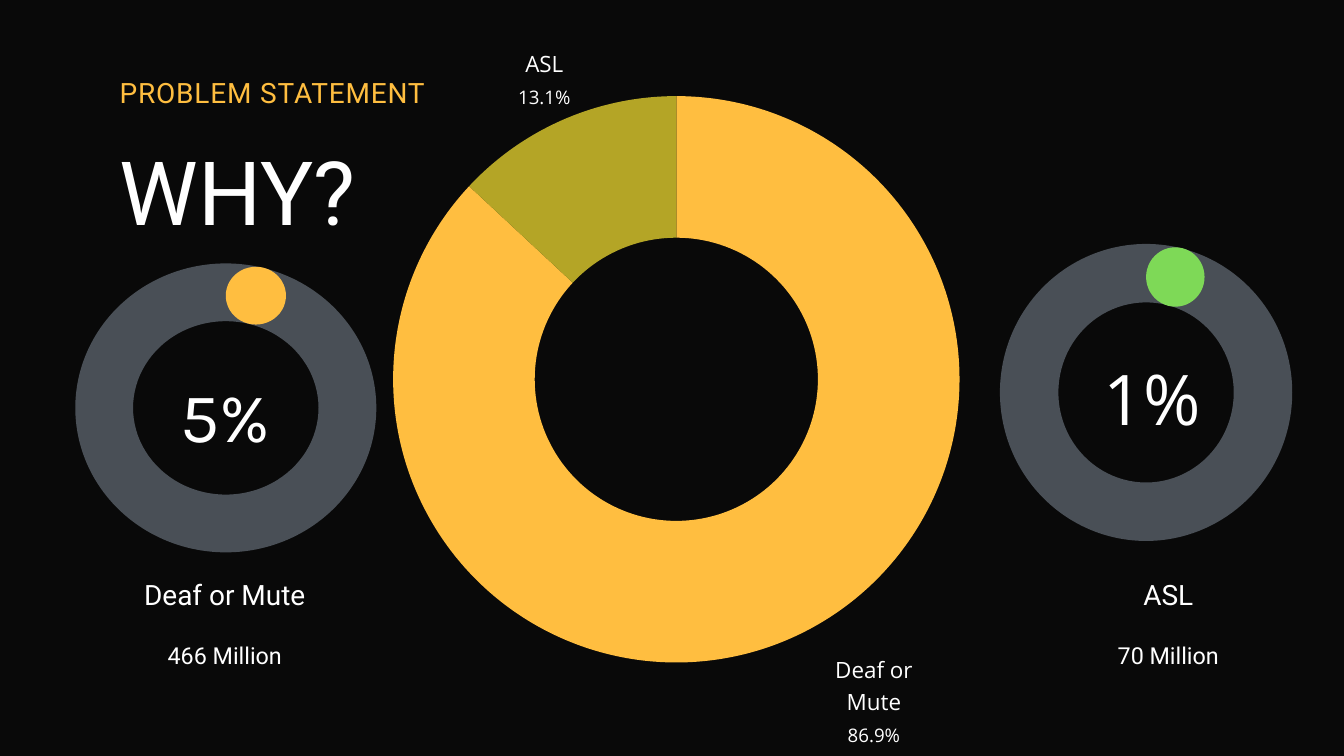
from lxml import etree
from pptx import Presentation
from pptx.chart.data import CategoryChartData
from pptx.dml.color import RGBColor
from pptx.enum.chart import XL_CHART_TYPE as ChartType
from pptx.enum.shapes import MSO_SHAPE as Shape
from pptx.enum.text import MSO_AUTO_SIZE as AutoSize, PP_ALIGN as Align
from pptx.oxml import parse_xml
from pptx.oxml.ns import nsdecls, qn
from pptx.util import Inches, Pt

BLACK = RGBColor(0x09, 0x09, 0x09)
WHITE = RGBColor(0xFF, 0xFF, 0xFF)
AMBER = RGBColor(0xFF, 0xBE, 0x40)
OLIVE = RGBColor(0xB4, 0xA5, 0x26)
GREEN = RGBColor(0x7E, 0xD9, 0x57)
SLATE = RGBColor(0x49, 0x4F, 0x56)

RING_THICKNESS = 0.2


class SlideBuilder:
    def __init__(self, slide, font="Roboto", color=WHITE):
        self.slide = slide
        self.font = font
        self.color = color

    def background(self, color):
        fill = self.slide.background.fill
        fill.solid()
        fill.fore_color.rgb = color

    def text(self, box, lines, spacing, font=None, color=None, align=Align.CENTER, tracking=0):
        """Add a text box; lines holds a (text, point size) pair per paragraph."""
        shape = self.slide.shapes.add_textbox(*map(Inches, box))
        frame = shape.text_frame
        frame.word_wrap = True
        frame.auto_size = AutoSize.SHAPE_TO_FIT_TEXT
        frame.margin_left = frame.margin_right = frame.margin_top = frame.margin_bottom = 0
        frame.text = "\n".join(content for content, _ in lines)
        for paragraph, (_, size) in zip(frame.paragraphs, lines):
            paragraph.alignment = align
            paragraph.line_spacing = Pt(spacing)
            run = paragraph.runs[0]
            run.font.name = font or self.font
            run.font.size = Pt(size)
            run.font.color.rgb = color or self.color
            if tracking:
                run.font._element.set("spc", str(round(tracking * 100)))

    def shape(self, kind, box, color):
        shape = self.slide.shapes.add_shape(kind, *map(Inches, box))
        shape.shadow.inherit = False
        shape.fill.solid()
        shape.fill.fore_color.rgb = color
        shape.line.fill.background()
        return shape

    def progress_ring(self, box, dot_color):
        """Draw a ring with a round marker just right of its top."""
        left, top, width, height = box
        ring = self.shape(Shape.DONUT, box, SLATE)
        ring.adjustments[0] = RING_THICKNESS
        dot = (left + width / 2, top + 0.05, width * RING_THICKNESS, height * RING_THICKNESS)
        self.shape(Shape.OVAL, dot, dot_color)

    def doughnut(self, box, name, values, colors):
        """Add a doughnut chart that fills its box, without labels."""
        data = CategoryChartData()
        data.categories = list(values)
        data.add_series(name, list(values.values()))
        frame = self.slide.shapes.add_chart(ChartType.DOUGHNUT, *map(Inches, box), data)
        chart = frame.chart
        chart.has_legend = False
        chart.has_title = False
        chart.font.name = self.font
        chart.font.size = Pt(20)
        chart.font.color.rgb = self.color
        plot = chart.plots[0]
        plot.vary_by_categories = True
        for index, color in enumerate(colors):
            point = plot.series[0].points[index].format
            point.fill.solid()
            point.fill.fore_color.rgb = color
            point.line.fill.background()

        chart_space = chart._chartSpace
        chart_space.find(qn("c:chart")).addnext(parse_xml(
            f'<c:spPr {nsdecls("c", "a")}><a:noFill/><a:ln><a:noFill/></a:ln></c:spPr>'))
        next(chart_space.iter(qn("c:holeSize"))).set("val", "50")
        plot_area = next(chart_space.iter(qn("c:plotArea")))
        for layout in plot_area.findall(qn("c:layout")):
            plot_area.remove(layout)
        layout = etree.Element(qn("c:layout"))
        manual = etree.SubElement(layout, qn("c:manualLayout"))
        settings = {"layoutTarget": "inner", "xMode": "edge", "yMode": "edge",
                    "x": "0", "y": "0", "w": "1", "h": "1"}
        for tag, value in settings.items():
            etree.SubElement(manual, qn(f"c:{tag}")).set("val", value)
        plot_area.insert(0, layout)


def main():
    presentation = Presentation()
    presentation.slide_width = Inches(20)
    presentation.slide_height = Inches(11.25)
    slide = presentation.slides.add_slide(presentation.slide_layouts[6])
    builder = SlideBuilder(slide)
    builder.background(BLACK)

    builder.text((1.78, 2.04, 14.28, 1.59), [("WHY?", 95)], 114, align=Align.LEFT)
    builder.text((1.78, 1.12, 14.28, 0.5), [("PROBLEM STATEMENT", 30)], 36,
                 color=AMBER, align=Align.LEFT, tracking=0.9)

    groups = [
        ("Deaf or Mute", "466 Million", 1.18, (1.12, 3.92, 4.48, 4.3), AMBER,
         "5%", (2.66, 5.34, 1.38, 1.34), "Karla"),
        ("ASL", "70 Million", 15.22, (14.88, 3.63, 4.35, 4.42), GREEN,
         "1%", (16.35, 5.08, 1.6, 1.38), "Open Sans"),
    ]
    for label, count, label_left, ring, dot_color, share, share_box, share_font in groups:
        builder.text((label_left, 8.59, 4.33, 0.52), [(label, 30)], 36)
        builder.text((label_left, 9.47, 4.33, 0.46), [(count, 25)], 35)
        builder.progress_ring(ring, dot_color)
        builder.text(share_box, [(share, 74.8)], 104.8, font=share_font)

    builder.doughnut((5.85, 1.43, 8.43, 8.43), "People (millions)",
                     {"Deaf or Mute": 466, "ASL": 70}, [AMBER, OLIVE])
    builder.text((12.02, 9.7, 1.97, 1.38), [("Deaf or Mute", 24), ("86.9%", 20)], 33.6,
                 font="Open Sans")
    builder.text((7.64, 0.68, 0.92, 0.91), [("ASL", 24), ("13.1%", 20)], 33.6, font="Open Sans")

    presentation.save("out.pptx")


if __name__ == "__main__":
    main()
